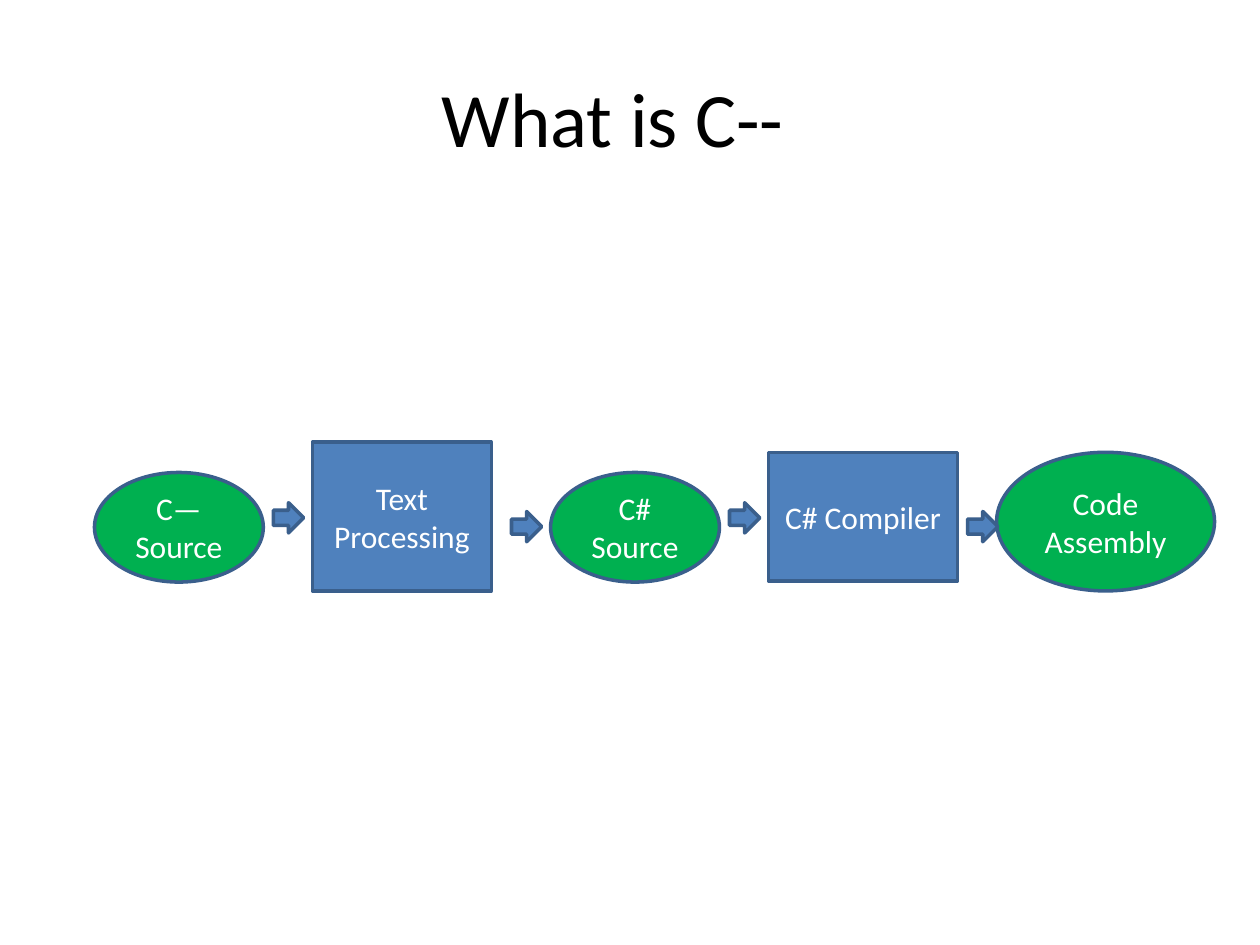
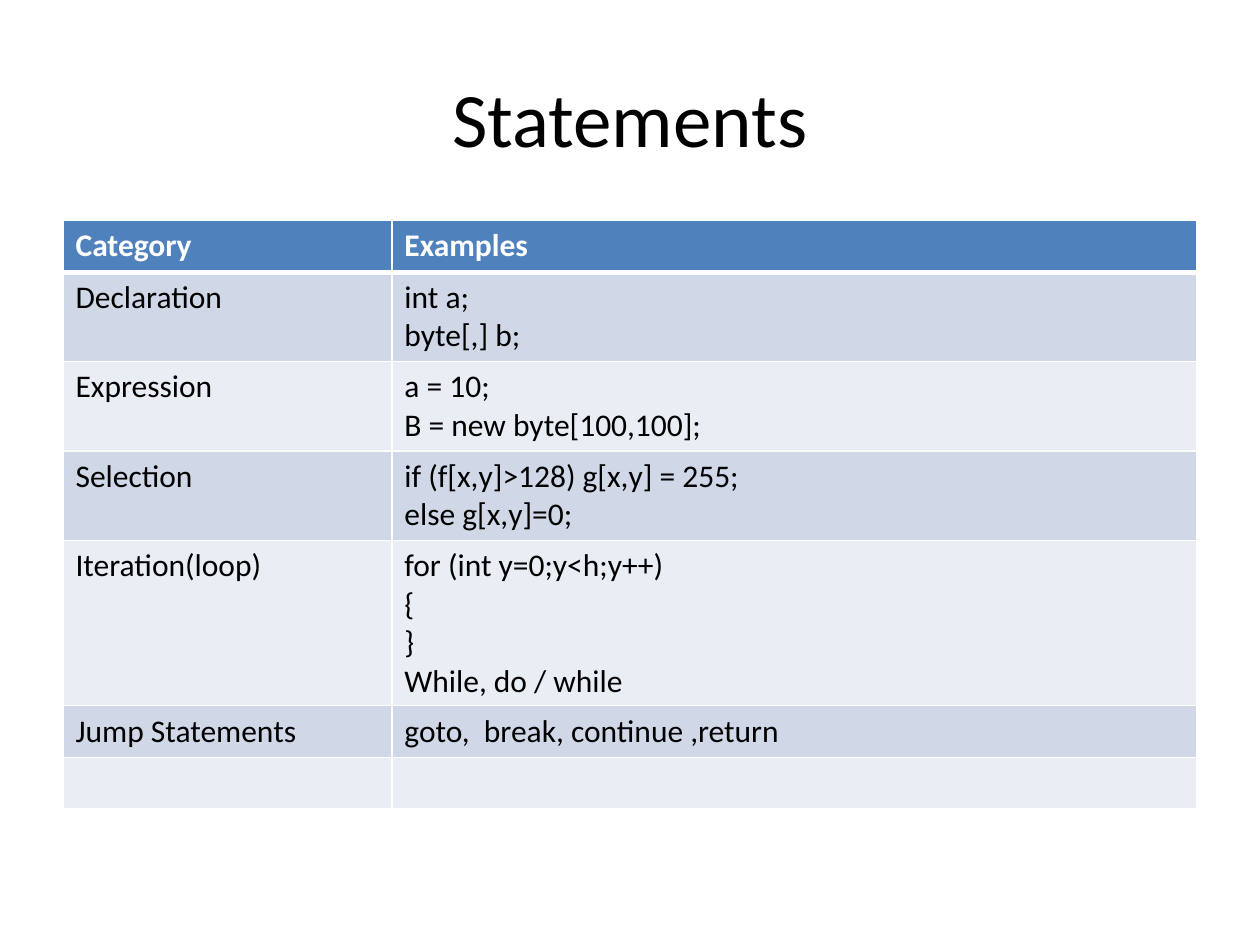
from dataclasses import dataclass

from lxml import etree
from pptx import Presentation
from pptx.dml.color import RGBColor
from pptx.enum.shapes import MSO_SHAPE
from pptx.enum.text import MSO_ANCHOR, PP_ALIGN
from pptx.oxml.ns import qn
from pptx.util import Inches, Pt

RECTANGLE = MSO_SHAPE.RECTANGLE
ELLIPSE = MSO_SHAPE.OVAL
RIGHT_ARROW = MSO_SHAPE.RIGHT_ARROW
MIDDLE = MSO_ANCHOR.MIDDLE
LEFT, CENTER = PP_ALIGN.LEFT, PP_ALIGN.CENTER
BLANK_LAYOUT = 6


@dataclass(frozen=True)
class Theme:
    font: str = "Calibri"
    title_size: int = 44
    body_size: int = 18
    black: str = "000000"
    white: str = "FFFFFF"
    blue: str = "4F81BD"
    outline: str = "3A5F8C"
    green: str = "00B050"
    bands: tuple = ("D0D8E8", "E9EDF4")
    outline_width: int = 2
    grid_width: int = 1
    header_rule_width: int = 3


THEME = Theme()

# shape, fill, box, lines of text
PIPELINE = [
    (ELLIPSE, THEME.green, (0.75, 3.75, 1.34, 0.87), ["C—", "Source"]),
    (RECTANGLE, THEME.blue, (2.48, 3.51, 1.42, 1.18), ["Text Processing"]),
    (ELLIPSE, THEME.green, (4.37, 3.75, 1.34, 0.87), ["C#", "Source"]),
    (RECTANGLE, THEME.blue, (6.1, 3.59, 1.5, 1.02), ["C# Compiler"]),
    (ELLIPSE, THEME.green, (7.91, 3.59, 1.73, 1.1), ["Code", "Assembly"]),
]
ARROW_SIZE = 0.24
ARROW_POSITIONS = [(2.17, 3.99), (4.06, 4.06), (5.79, 3.99), (7.68, 4.06)]

COLUMN_WIDTHS = (2.61, 6.39)
ROW_HEIGHT = 0.41
CELL_BOTTOM_INSET = 0.06
STATEMENTS = [
    ("Category", ["Examples"]),
    ("Declaration", ["int a;", "byte[,] b;"]),
    ("Expression", ["a = 10;", "B = new byte[100,100];"]),
    ("Selection", ["if (f[x,y]>128) g[x,y] = 255;", "else g[x,y]=0;"]),
    ("Iteration(loop)", ["for (int y=0;y<h;y++)", "{", "}", "While, do / while"]),
    ("Jump Statements", ["goto,  break, continue ,return"]),
    ("", [""]),
]


def apply_format(target, values):
    for name, value in values.items():
        setattr(target, name, value)


def inches(*lengths):
    return [Inches(length) for length in lengths]


def write_lines(frame, lines, color, size=THEME.body_size, bold=False, align=CENTER):
    """Write one paragraph per line, all in the same style."""
    for index, line in enumerate(lines):
        paragraph = frame.add_paragraph() if index else frame.paragraphs[0]
        paragraph.alignment = align
        apply_format(paragraph.font, {"size": Pt(size), "name": THEME.font})
        if line:
            run = paragraph.add_run()
            run.text = line
            apply_format(run.font, {"name": THEME.font, "size": Pt(size), "bold": bold})
            run.font.color.rgb = RGBColor.from_string(color)


def add_title(slide, title, right_inset=0.1):
    frame = slide.shapes.add_textbox(*inches(0.5, 0.3, 9, 1.25)).text_frame
    apply_format(frame, {
        "word_wrap": True,
        "vertical_anchor": MIDDLE,
        "margin_right": Inches(right_inset),
    })
    write_lines(frame, [title], THEME.black, THEME.title_size)


def add_block(slide, kind, fill, box, lines=()):
    block = slide.shapes.add_shape(kind, *inches(*box))
    block.shadow.inherit = False
    block.fill.solid()
    block.fill.fore_color.rgb = RGBColor.from_string(fill)
    block.line.color.rgb = RGBColor.from_string(THEME.outline)
    block.line.width = Pt(THEME.outline_width)
    apply_format(block.text_frame, {"word_wrap": True, "vertical_anchor": MIDDLE})
    write_lines(block.text_frame, lines, THEME.white)


def set_borders(cell, widths):
    """Draw white cell borders; widths maps the sides L, R, T, B to points."""
    properties = cell._tc.get_or_add_tcPr()
    for side, width in widths.items():
        line = etree.SubElement(properties, qn(f"a:ln{side}"), w=str(Pt(width)))
        fill = etree.SubElement(line, qn("a:solidFill"))
        etree.SubElement(fill, qn("a:srgbClr"), val=THEME.white)


def fill_cell(cell, row, lines):
    is_header = row == 0
    grid, rule = THEME.grid_width, THEME.header_rule_width
    set_borders(cell, {
        "L": grid,
        "R": grid,
        "T": rule if row == 1 else grid,
        "B": rule if is_header else grid,
    })
    background = THEME.blue if is_header else THEME.bands[(row - 1) % 2]
    cell.fill.solid()
    cell.fill.fore_color.rgb = RGBColor.from_string(background)
    cell.margin_bottom = Inches(CELL_BOTTOM_INSET)
    color = THEME.white if is_header else THEME.black
    write_lines(cell.text_frame, lines, color, bold=is_header, align=LEFT)


def add_statement_table(slide):
    box = inches(0.5, 1.75, sum(COLUMN_WIDTHS), ROW_HEIGHT * len(STATEMENTS))
    table = slide.shapes.add_table(len(STATEMENTS), len(COLUMN_WIDTHS), *box).table
    apply_format(table, {"first_row": False, "horz_banding": False})
    for column, width in zip(table.columns, COLUMN_WIDTHS):
        column.width = Inches(width)
    for row, (category, examples) in enumerate(STATEMENTS):
        table.rows[row].height = Inches(ROW_HEIGHT)
        fill_cell(table.cell(row, 0), row, [category])
        fill_cell(table.cell(row, 1), row, examples)


def build_pipeline_slide(slide):
    add_title(slide, "What is C--", right_inset=0.37)
    for kind, fill, box, lines in PIPELINE:
        add_block(slide, kind, fill, box, lines)
    for left, top in ARROW_POSITIONS:
        add_block(slide, RIGHT_ARROW, THEME.blue, (left, top, ARROW_SIZE, ARROW_SIZE))


def build_statements_slide(slide):
    add_title(slide, "Statements")
    add_statement_table(slide)


def main():
    deck = Presentation()
    apply_format(deck, {"slide_width": Inches(10), "slide_height": Inches(7.5)})
    for build in (build_pipeline_slide, build_statements_slide):
        build(deck.slides.add_slide(deck.slide_layouts[BLANK_LAYOUT]))
    deck.save("out.pptx")


if __name__ == "__main__":
    main()
